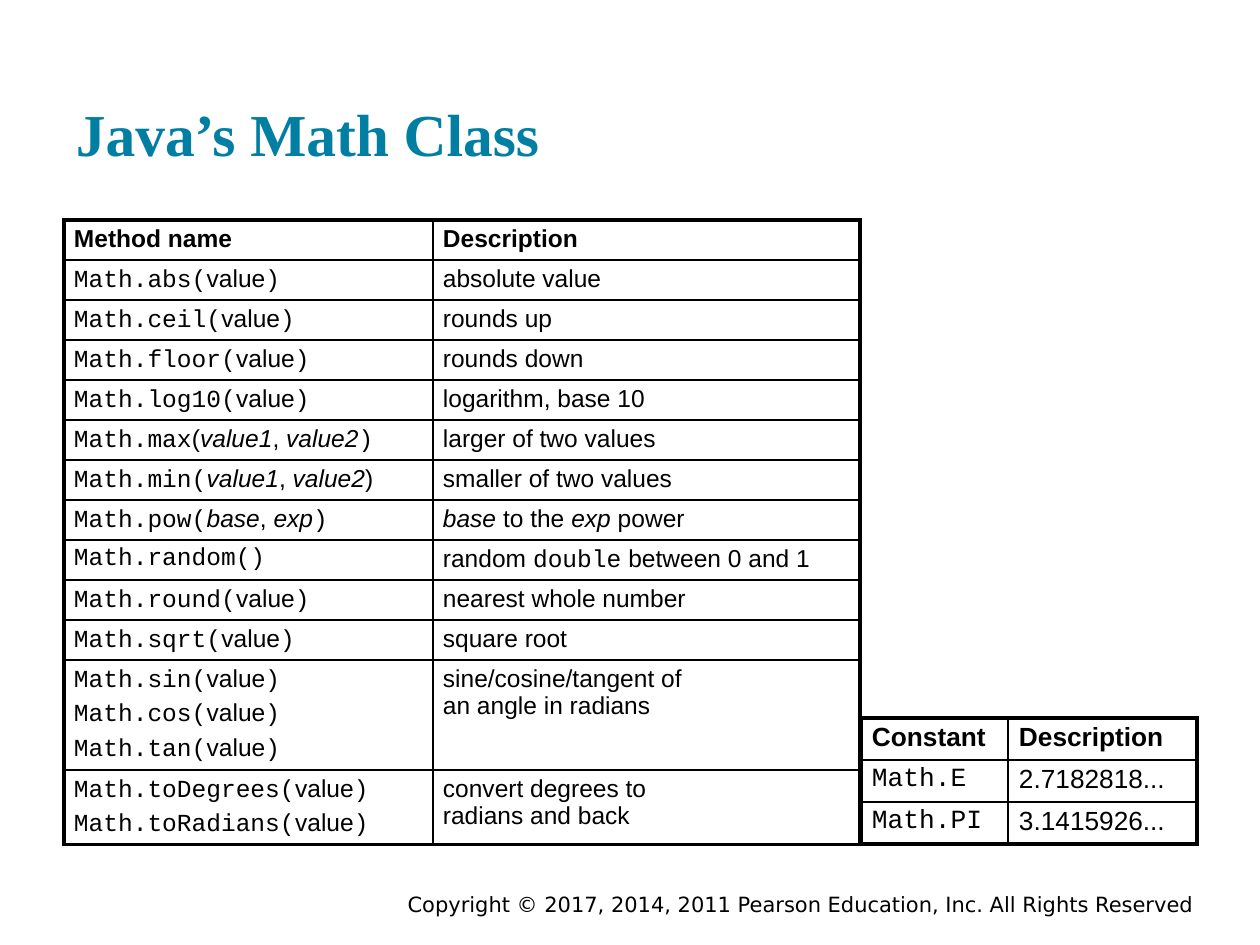
"""Build the slide that lists the methods and constants of Java's Math class."""
import dataclasses

import lxml.etree
import pptx
import pptx.dml.color
import pptx.enum.text
import pptx.oxml.ns
import pptx.util


@dataclasses.dataclass(frozen=True)
class Theme:
    ink: str = "000000"
    paper: str = "FFFFFF"
    teal: str = "007FA3"
    sans: str = "Arial"
    mono: str = "Courier New"
    serif: str = "Times New Roman"
    foot: str = "DejaVu Sans"
    head_size: int = 34
    foot_size: int = 12
    main_size: int = 14
    side_size: int = 15
    gap: float = 0.2
    thick: float = 2.25
    thin: float = 1


def px(count):
    return pptx.util.Emu(round(count * 914400 / 126))


def tint(code):
    return pptx.dml.color.RGBColor.from_string(code)


class Deck:
    def __init__(self, theme):
        self.theme = theme
        self.file = pptx.Presentation()
        self.file.slide_width, self.file.slide_height = px(1260), px(945)
        self.slide = self.file.slides.add_slide(self.file.slide_layouts[5])

    def add_run(self, para, text, face, size, color, bold=False, slant=False):
        for index, line in enumerate(text.split("\n")):
            if index:
                para.add_line_break()
            run = para.add_run()
            run.text = line
            font = run.font
            font.name, font.size = face, pptx.util.Pt(size)
            font.bold, font.italic = bold, slant
            font.color.rgb = tint(color)

    def title(self, text, x, y, w, h):
        shape = self.slide.shapes.title
        shape.left, shape.top, shape.width, shape.height = map(px, (x, y, w, h))
        frame = shape.text_frame
        frame.auto_size = pptx.enum.text.MSO_AUTO_SIZE.NONE
        frame.vertical_anchor = pptx.enum.text.MSO_ANCHOR.BOTTOM
        frame.margin_left = frame.margin_right = px(13)
        frame.margin_top = frame.margin_bottom = px(13)
        para = frame.paragraphs[0]
        para.alignment = pptx.enum.text.PP_ALIGN.LEFT
        look = self.theme
        self.add_run(para, text, look.serif, look.head_size, look.teal, bold=True)

    def footer(self, text, x, y, w, h):
        frame = self.slide.shapes.add_textbox(*map(px, (x, y, w, h))).text_frame
        frame.word_wrap = True
        frame.margin_left = frame.margin_right = px(13)
        frame.margin_top = frame.margin_bottom = px(6)
        para = frame.paragraphs[0]
        para.alignment = pptx.enum.text.PP_ALIGN.RIGHT
        look = self.theme
        self.add_run(para, text, look.foot, look.foot_size, look.ink)

    def border(self, cell, widths):
        props = cell._tc.get_or_add_tcPr()
        for index, (side, width) in enumerate(widths.items()):
            line = lxml.etree.Element(pptx.oxml.ns.qn(f"a:ln{side}"))
            line.set("w", str(pptx.util.Pt(width)))
            fill = lxml.etree.SubElement(line, pptx.oxml.ns.qn("a:solidFill"))
            color = lxml.etree.SubElement(fill, pptx.oxml.ns.qn("a:srgbClr"))
            color.set("val", self.theme.ink)
            props.insert(index, line)

    def fill_cell(self, cell, paras, size, inset):
        look = self.theme
        cell.fill.solid()
        cell.fill.fore_color.rgb = tint(look.paper)
        cell.margin_left = cell.margin_right = px(inset)
        cell.margin_top = cell.margin_bottom = px(5)
        frame = cell.text_frame
        for index, runs in enumerate(paras):
            para = frame.add_paragraph() if index else frame.paragraphs[0]
            if index:
                para.space_before = pptx.util.Pt(size * look.gap)
            for kind, text in runs:
                face = look.mono if kind == "code" else look.sans
                self.add_run(para, text, face, size, look.ink,
                             bold=kind == "bold", slant=kind == "slant")

    def table(self, x, y, cols, heights, rows, size, inset):
        shape = self.slide.shapes.add_table(
            len(rows), len(cols), px(x), px(y), px(sum(cols)), px(sum(heights)))
        grid = shape.table
        grid.first_row = grid.horz_banding = False
        for col, width in zip(grid.columns, cols):
            col.width = px(width)
        for row, height in zip(grid.rows, heights):
            row.height = px(height)
        thick, thin = self.theme.thick, self.theme.thin
        for r, row in enumerate(rows):
            for c, paras in enumerate(row):
                cell = grid.cell(r, c)
                self.fill_cell(cell, paras, size, inset)
                outer = {"L": c == 0, "R": c == len(cols) - 1,
                         "T": r == 0, "B": r == len(rows) - 1}
                self.border(cell, {side: thick if edge else thin
                                   for side, edge in outer.items()})


def plain(text):
    return [[("text", text)]]


def code(text):
    return [[("code", text)]]


def header(*names):
    return [[[("bold", name)]] for name in names]


def calls(*names):
    return [[("code", f"Math.{name}("), ("text", "value"), ("code", ")")]
            for name in names]


def pair(start, first, second, end):
    return [[*start, ("slant", first), ("text", ", "), ("slant", second), end]]


METHODS = [
    header("Method name", "Description"),
    [calls("abs"), plain("absolute value")],
    [calls("ceil"), plain("rounds up")],
    [calls("floor"), plain("rounds down")],
    [calls("log10"), plain("logarithm, base 10")],
    [pair([("code", "Math.max"), ("text", "(")], "value1", "value2", ("code", ")")),
     plain("larger of two values")],
    [pair([("code", "Math.min(")], "value1", "value2", ("text", ")")),
     plain("smaller of two values")],
    [pair([("code", "Math.pow(")], "base", "exp", ("code", ")")),
     [[("slant", "base"), ("text", " to the "), ("slant", "exp"), ("text", " power")]]],
    [code("Math.random()"),
     [[("text", "random "), ("code", "double"), ("text", " between 0 and 1")]]],
    [calls("round"), plain("nearest whole number")],
    [calls("sqrt"), plain("square root")],
    [calls("sin", "cos", "tan"), plain("sine/cosine/tangent of\nan angle in radians")],
    [calls("toDegrees", "toRadians"), plain("convert degrees to\nradians and back")],
]

VALUES = [
    header("Constant", "Description"),
    [code("Math.E"), plain("2.7182818...")],
    [code("Math.PI"), plain("3.1415926...")],
]


def main():
    theme = Theme()
    deck = Deck(theme)
    deck.footer("Copyright © 2017, 2014, 2011 Pearson Education, Inc. All Rights Reserved",
                220, 886, 987, 28)
    deck.title("Java’s Math Class", 63, 30, 1134, 151)
    deck.table(64, 220, [369, 427], [40] * 11 + [110, 75], METHODS, theme.main_size, 10)
    deck.table(861, 718, [147, 189], [42] * 3, VALUES, theme.side_size, 11)
    deck.file.save("out.pptx")


if __name__ == "__main__":
    main()
